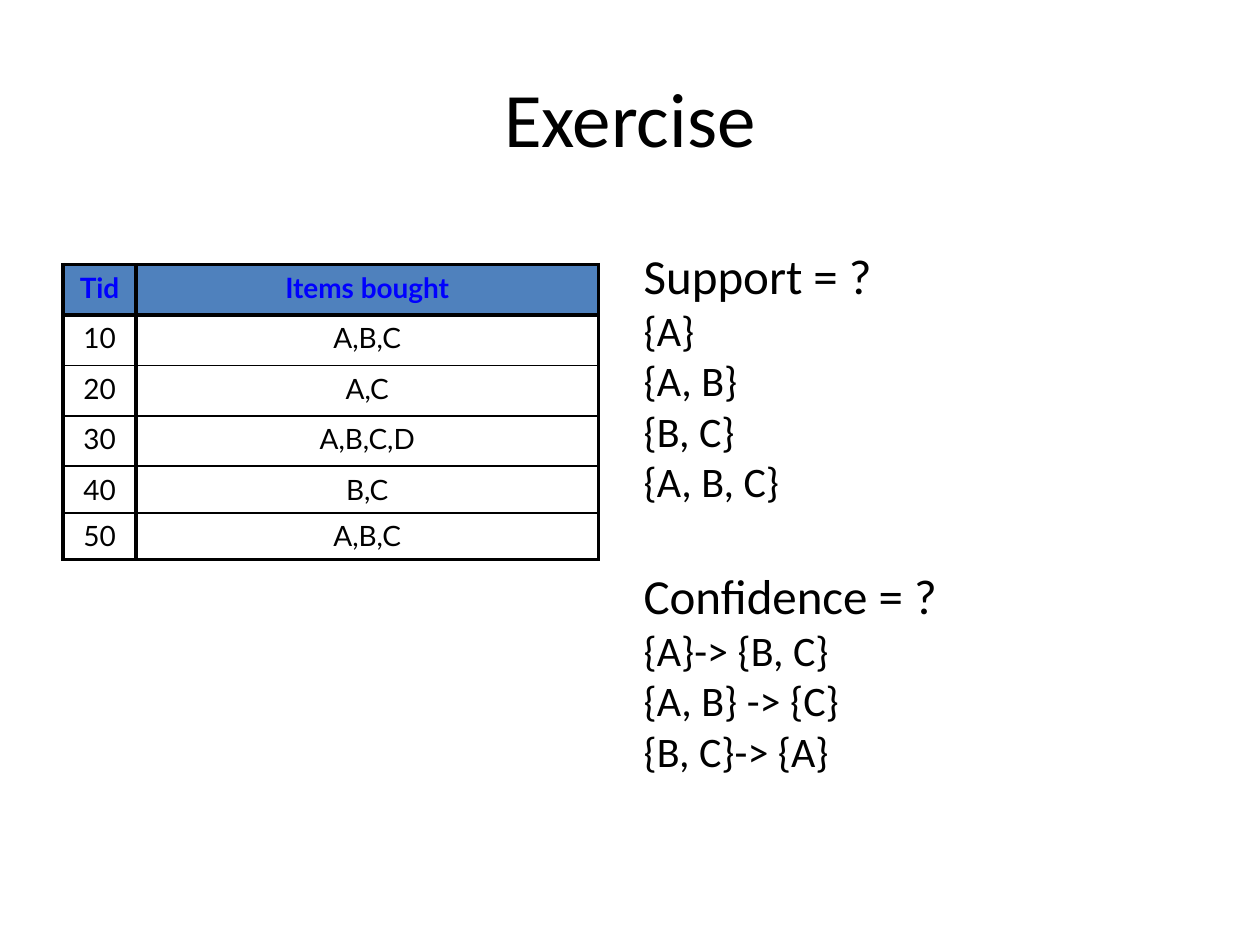
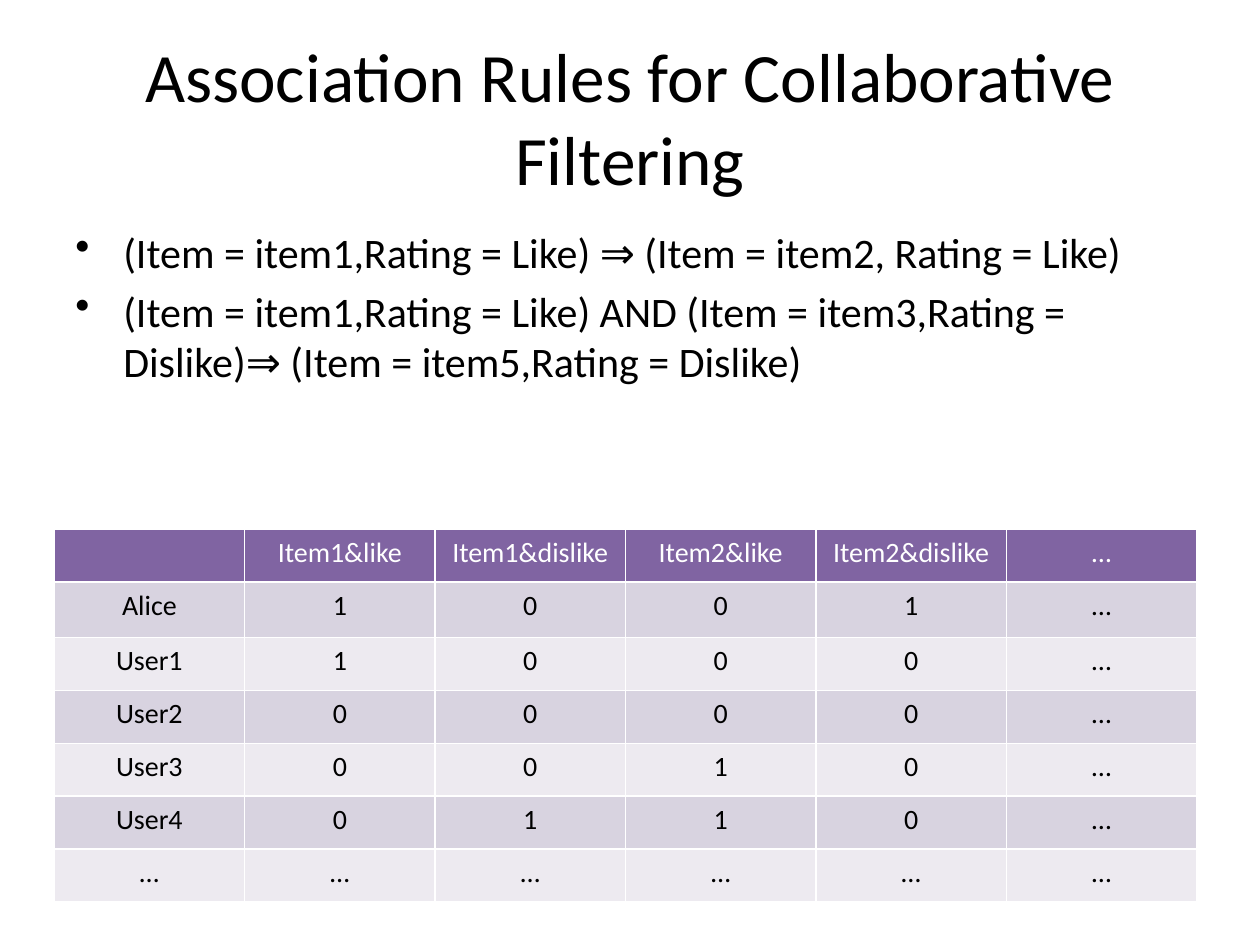
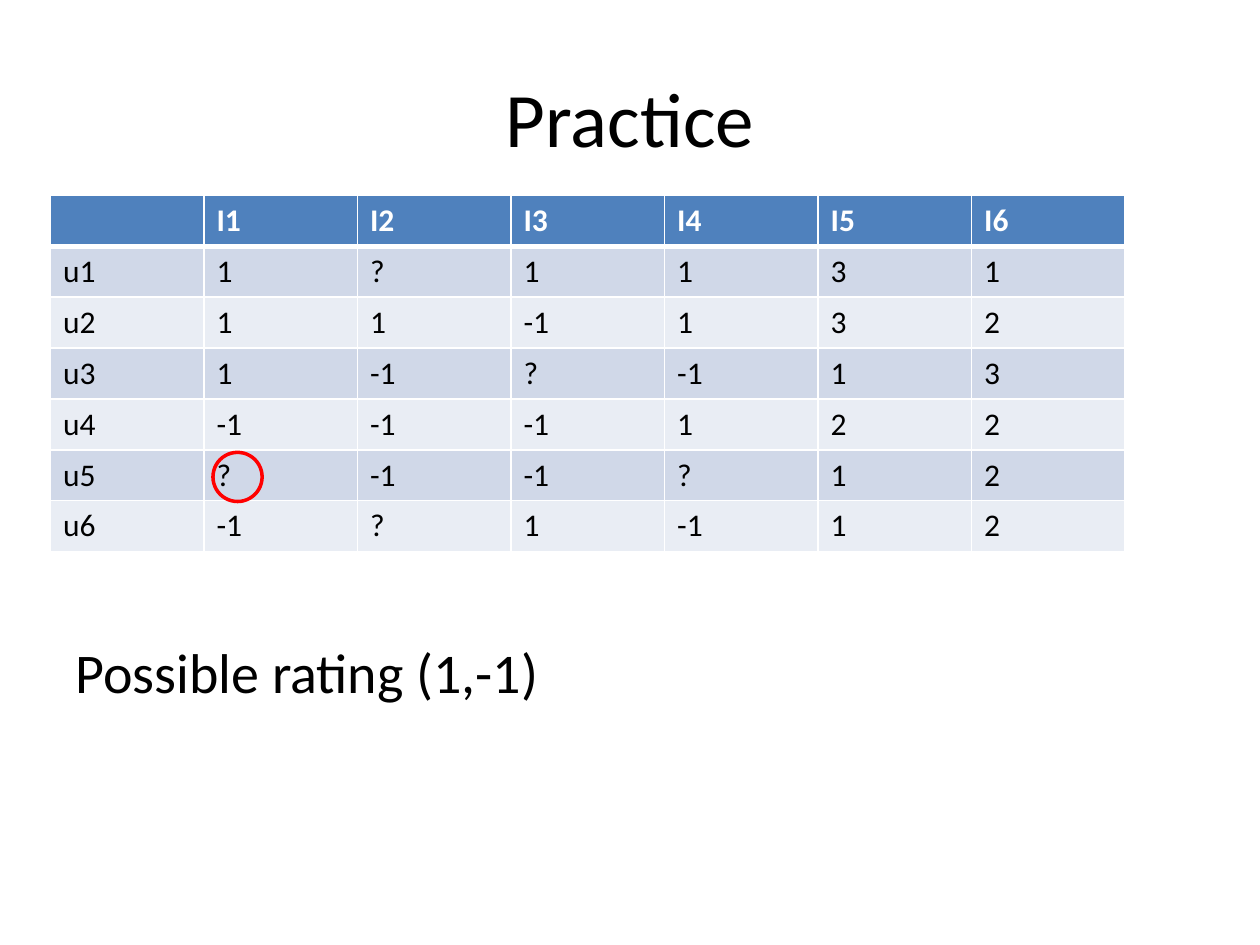
"""Build three slides on rule mining: an exercise, ratings as rules, and practice."""
from dataclasses import dataclass

from lxml import etree
from pptx import Presentation
from pptx import util as u
from pptx.dml.color import RGBColor
from pptx.enum import shapes, text
from pptx.oxml.ns import qn

BLACK = RGBColor(0, 0, 0)
WHITE = RGBColor(255, 255, 255)
RED = RGBColor(255, 0, 0)
BLUE = RGBColor(0, 0, 255)
STEEL = RGBColor(0x4F, 0x81, 0xBD)
STEEL_BANDS = RGBColor(0xD0, 0xD8, 0xE8), RGBColor(0xE9, 0xED, 0xF4)
PLUM = RGBColor(0x80, 0x64, 0xA2)
PLUM_BANDS = RGBColor(0xD8, 0xD3, 0xE0), RGBColor(0xED, 0xEA, 0xF0)
FONT = "Calibri"
LEFT, CENTER = text.PP_ALIGN.LEFT, text.PP_ALIGN.CENTER

TRADES = """Tid|Items bought
10|A,B,C
20|A,C
30|A,B,C,D
40|B,C
50|A,B,C"""
LIKES = """|Item1&like|Item1&dislike|Item2&like|Item2&dislike|…
Alice|1|0|0|1|…
User1|1|0|0|0|…
User2|0|0|0|0|…
User3|0|0|1|0|…
User4|0|1|1|0|…
…|…|…|…|…|…"""
SCORES = """|I1|I2|I3|I4|I5|I6
u1|1|?|1|1|3|1
u2|1|1|-1|1|3|2
u3|1|-1|?|-1|1|3
u4|-1|-1|-1|1|2|2
u5|?|-1|-1|?|1|2
u6|-1|?|1|-1|1|2"""


@dataclass
class Look:
    """Hold the style of a table."""
    head: RGBColor
    ink: RGBColor
    size: int
    line: RGBColor
    sides: float
    rules: list
    bands: tuple = ()
    bold: bool = True
    font: str = FONT
    align: int = CENTER


def format_para(para, size, color=BLACK, font=FONT, bold=False, align=LEFT):
    """Align a paragraph and format its runs."""
    para.alignment = align
    for run in para.runs:
        run.font.size = u.Pt(size)
        run.font.name = font
        run.font.bold = bold
        run.font.color.rgb = color


def add_text(slide, place, lines, gap=0, bullet=False, align=LEFT,
             anchor=text.MSO_ANCHOR.TOP):
    """Add a text box from (words, size) pairs and return its frame."""
    frame = slide.shapes.add_textbox(*map(u.Inches, place)).text_frame
    frame.word_wrap = True
    frame.vertical_anchor = anchor
    for num, (words, size) in enumerate(lines):
        para = frame.add_paragraph() if num else frame.paragraphs[0]
        para.text = words
        if bullet:
            props = para._p.get_or_add_pPr()
            props.set("marL", str(u.Inches(0.38)))
            props.set("indent", str(-u.Inches(0.38)))
            etree.SubElement(props, qn("a:buChar"), char="•")
        if num and gap:
            para.space_before = u.Pt(gap)
        format_para(para, size, align=align)
    return frame


def add_title(slide, words, size=44):
    """Add the centred title."""
    add_text(slide, (0.5, 0.3, 9, 1.25), [(words, size)], align=CENTER,
             anchor=text.MSO_ANCHOR.MIDDLE)


def set_edges(cell, color, widths):
    """Draw the left, right, top and bottom edges of a cell."""
    props = cell._tc.get_or_add_tcPr()
    for num, (side, width) in enumerate(zip("LRTB", widths)):
        edge = etree.Element(qn(f"a:ln{side}"), w=str(u.Pt(width)))
        fill = etree.SubElement(edge, qn("a:solidFill"))
        etree.SubElement(fill, qn("a:srgbClr"), val=str(color))
        props.insert(num, edge)


def fill_cell(cell, words, row, look):
    """Set the words, fill and edges of a cell."""
    cell.text = words
    head = row == 0
    format_para(cell.text_frame.paragraphs[0], look.size,
                look.ink if head else BLACK, look.font,
                head and look.bold, look.align)
    if head or look.bands:
        cell.fill.solid()
        cell.fill.fore_color.rgb = look.head if head else look.bands[(row - 1) % 2]
    else:
        cell.fill.background()
    set_edges(cell, look.line,
              (look.sides, look.sides, look.rules[row], look.rules[row + 1]))


def add_table(slide, spot, cols, rows, data, look):
    """Add a table with the given column widths and row heights."""
    place = *spot, sum(cols), sum(rows)
    table = slide.shapes.add_table(len(rows), len(cols),
                                   *map(u.Inches, place)).table
    for col, width in zip(table.columns, cols):
        col.width = u.Inches(width)
    for row, height in zip(table.rows, rows):
        row.height = u.Inches(height)
    for num, line in enumerate(data.splitlines()):
        for cell, words in zip(table.rows[num].cells, line.split("|")):
            fill_cell(cell, words, num, look)


def add_ring(slide, place):
    """Add a red ring."""
    ring = slide.shapes.add_shape(shapes.MSO_SHAPE.OVAL, *map(u.Inches, place))
    ring.shadow.inherit = False
    ring.fill.background()
    ring.line.color.rgb = RED
    ring.line.width = u.Pt(2)


def build_task(slide):
    """Build the support and confidence exercise."""
    add_title(slide, "Exercise")
    look = Look(STEEL, BLUE, 16, BLACK, 2.25,
                [2.25] * 2 + [1] * 4 + [2.25], font="Lato")
    add_table(slide, (0.5, 2.1), [0.58, 3.67], [0.4] * 4 + [0.37] * 2,
              TRADES, look)
    frame = add_text(slide, (5.01, 1.9, 4.72, 4.95), [
        ("Support = ?", 28), ("{A}", 24), ("{A, B}", 24), ("{B, C}", 24),
        ("{A, B, C}", 24), ("Confidence = ?", 28), ("{A}-> {B, C}", 24),
        ("{A, B} -> {C}", 24), ("{B, C}-> {A}", 24)])
    frame.paragraphs[5].space_before = u.Pt(34)


def build_rules(slide):
    """Build the slide on rules drawn from ratings."""
    add_title(slide, "Association Rules for Collaborative Filtering", 39.6)
    add_text(slide, (0.5, 1.75, 9.22, 1.76), [
        ("(Item = item1,Rating = Like) ⇒ (Item = item2, Rating = Like)", 24),
        ("(Item = item1,Rating = Like) AND (Item = item3,Rating = Dislike)"
         "⇒ (Item = item5,Rating = Dislike)", 24)], gap=4.8, bullet=True)
    look = Look(PLUM, WHITE, 16, WHITE, 1, [1] * 8, PLUM_BANDS, bold=False)
    add_table(slide, (0.43, 4.2), [9.07 / 6] * 6, [0.42, 0.44] + [0.42] * 5,
              LIKES, look)


def build_drill(slide):
    """Build the rating practice."""
    add_title(slide, "Practice")
    add_text(slide, (0.5, 5.01, 9, 1.34), [("Possible rating (1,-1)", 32)])
    look = Look(STEEL, WHITE, 18, WHITE, 1, [1, 3] + [1] * 6, STEEL_BANDS,
                align=LEFT)
    add_table(slide, (0.4, 1.55), [8.53 / 7] * 7, [2.83 / 7] * 7, SCORES, look)
    add_ring(slide, (1.69, 3.59, 0.39, 0.39))


def main():
    """Build and save the deck."""
    deck = Presentation()
    deck.slide_width, deck.slide_height = u.Inches(10), u.Inches(7.5)
    for build in (build_task, build_rules, build_drill):
        build(deck.slides.add_slide(deck.slide_layouts[6]))
    deck.save("out.pptx")


if __name__ == "__main__":
    main()
